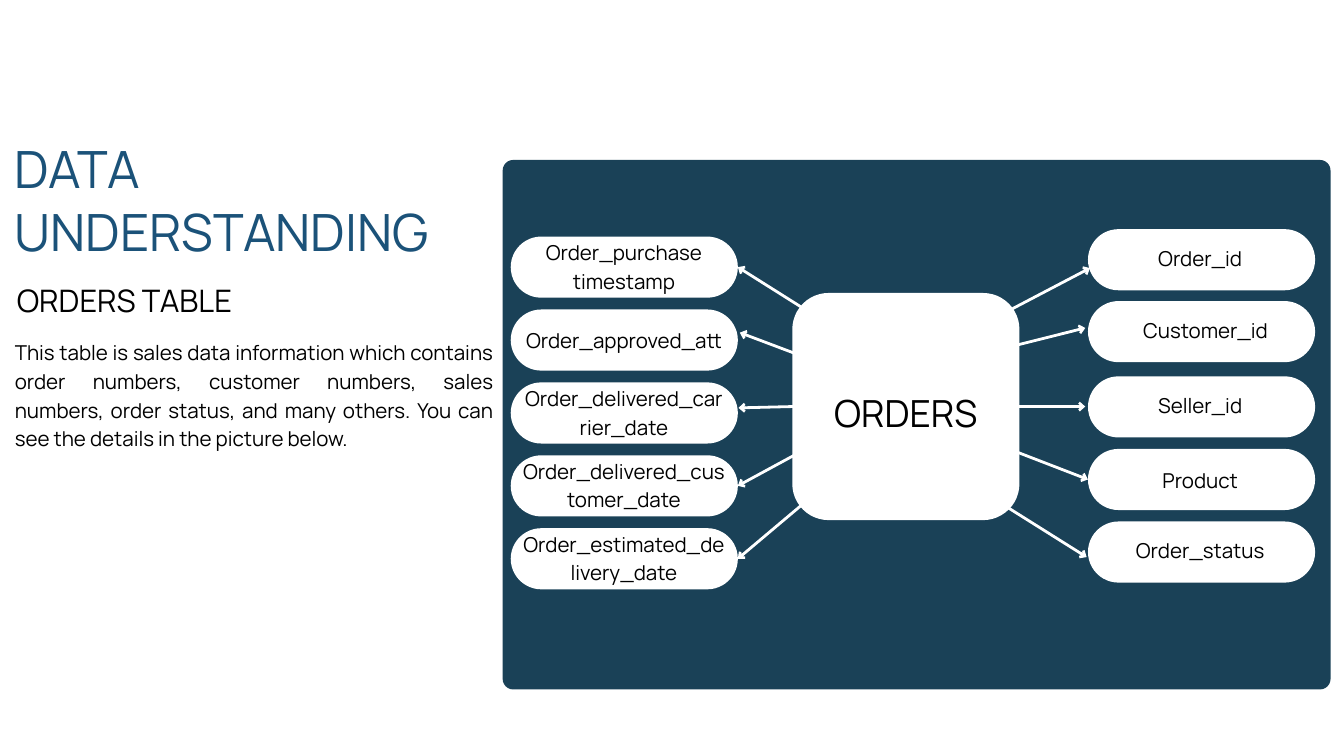
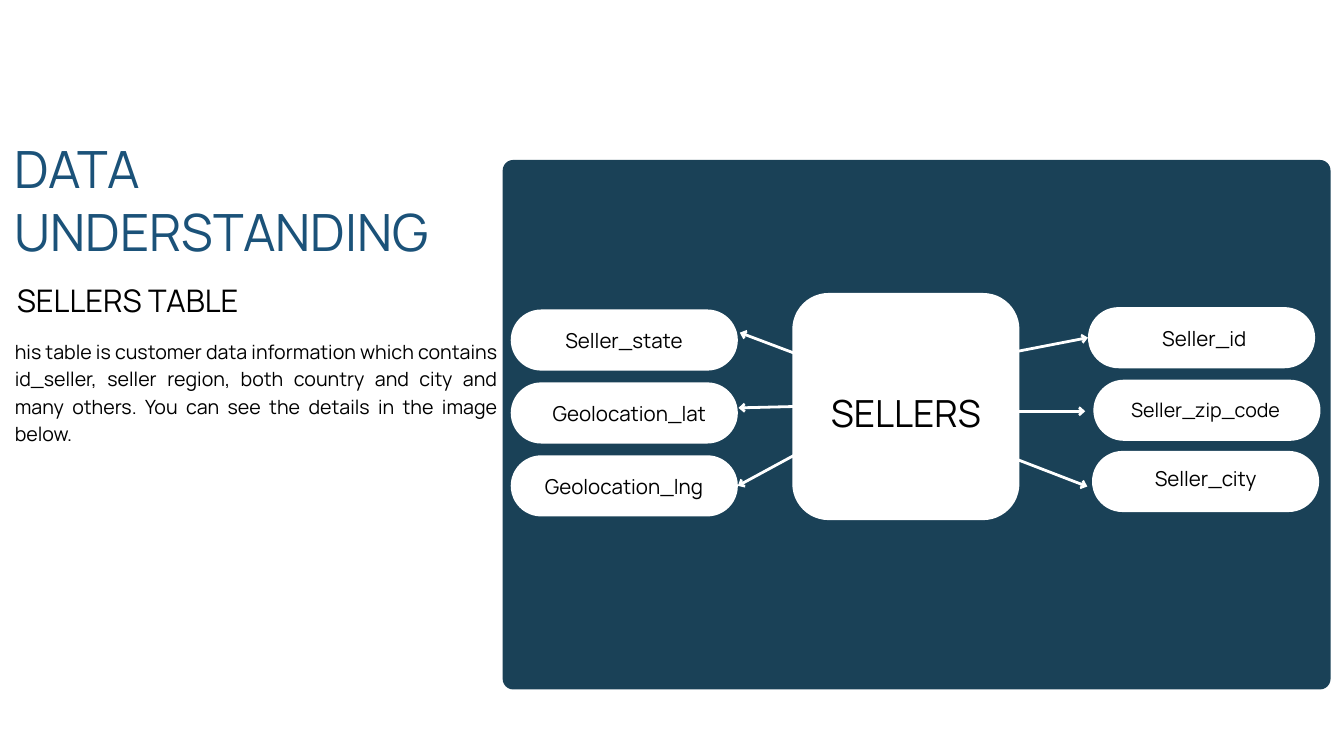
from dataclasses import dataclass

from lxml.etree import SubElement
from pptx import Presentation
from pptx.dml.color import RGBColor
from pptx.enum.shapes import MSO_CONNECTOR as Line, MSO_SHAPE as Shape
from pptx.enum.text import MSO_ANCHOR as Anchor, MSO_AUTO_SIZE as AutoSize, PP_ALIGN as Align
from pptx.oxml.ns import qn
from pptx.util import Inches, Pt

# Content: left fields are (row, text, label shift);
# right fields are (text, pill corner, label corner, label size, arrow start, arrow end)
TITLE = "DATA UNDERSTANDING"
PAGES = [
    {
        "heading": "ORDERS TABLE",
        "heading_width": 3.59,
        "heading_size": 33.2,
        "body": "This table is sales data information which contains order numbers, "
                "customer numbers, sales numbers, order status, and many others. "
                "You can see the details in the picture below.",
        "body_width": 7.12,
        "body_size": 22,
        "hub": "ORDERS",
        "left": [
            (0, "Order_purchase\ntimestamp", 0),
            (1, "Order_approved_att", 0),
            (2, "Order_delivered_carrier_date", 0),
            (3, "Order_delivered_customer_date", 0),
            (4, "Order_estimated_delivery_date", 0),
        ],
        "right": [
            ("Order_id", (16.19, 3.41), (16.15, 3.6), 22, (12.86, 5.75), (16.22, 3.99)),
            ("Customer_id", (16.19, 4.48), (16.23, 4.67), 22, (13.48, 5.55), (16.15, 4.88)),
            ("Seller_id", (16.19, 5.6), (16.15, 5.78), 22, (12.86, 6.05), (16.15, 6.05)),
            ("Product", (16.19, 6.68), (16.15, 6.9), 22, (12.86, 5.85), (16.18, 7.13)),
            ("Order_status", (16.19, 7.76), (16.15, 7.94), 22, (12.86, 6.21), (16.17, 8.29)),
        ],
    },
    {
        "heading": "SELLERS TABLE",
        "heading_width": 6.17,
        "heading_size": 33.3,
        "body": "his table is customer data information which contains id_seller, "
                "seller region, both country and city and many others. "
                "You can see the details in the image below.",
        "body_width": 7.18,
        "body_size": 21,
        "hub": "SELLERS",
        "left": [
            (1, "Seller_state", 0),
            (2, "Geolocation_lat", 0.08),
            (3, "Geolocation_lng", 0),
        ],
        "right": [
            ("Seller_id", (16.19, 4.57), (16.21, 4.79), 22, (13.48, 5.55), (16.19, 5.02)),
            ("Seller_zip_code", (16.27, 5.65), (16.23, 5.87), 21, (12.86, 6.12), (16.15, 6.12)),
            ("Seller_city", (16.25, 6.71), (16.23, 6.88), 22, (12.86, 5.96), (16.18, 7.24)),
        ],
    },
]


@dataclass(frozen=True)
class Theme:
    font: str = "Manrope"
    navy: RGBColor = RGBColor(0x1A, 0x41, 0x57)
    blue: RGBColor = RGBColor(0x1B, 0x52, 0x79)
    white: RGBColor = RGBColor(0xFF, 0xFF, 0xFF)
    black: RGBColor = RGBColor(0, 0, 0)
    title_size: float = 55
    hub_size: float = 40
    label_size: float = 22
    title_spacing: float = 1.22
    text_spacing: float = 1.4
    arrow_width: float = 3


THEME = Theme()

# Layout, in inches
PANEL = (7.48, 2.38, 12.32, 7.88)
HUB = (11.79, 4.36, 3.38, 3.38)
PILL_SIZE = (3.38, 0.91)
LEFT_PILL_X, LEFT_PILL_Y, LEFT_STEP = 7.6, 3.52, 1.085
LEFT_LABEL_X, LEFT_LABEL_WIDTH = 7.77, 3.03
RIGHT_LABEL_WIDTH = 3.42
LINE_HEIGHT = 0.43
LEFT_ARROWS = [
    ((13.48, 5.55), (11.01, 3.99)),
    ((12.6, 5.55), (11.01, 4.95)),
    ((12.6, 6.03), (10.99, 6.07)),
    ((12.86, 6.21), (10.98, 7.22)),
    ((13.48, 6.21), (10.99, 8.33)),
]
LEFT_SIDE, RIGHT_SIDE = 1, 3
JOIN_DISTANCE = 0.03


def add_round_box(page, area, color, corner):
    box = page.shapes.add_shape(Shape.ROUNDED_RECTANGLE, *map(Inches, area))
    box.adjustments[0] = corner
    box.shadow.inherit = False
    box.fill.solid()
    box.fill.fore_color.rgb = color
    box.line.fill.background()
    return box


def add_text(page, area, text, size, align=Align.CENTER, color=THEME.black,
             spacing=THEME.text_spacing):
    box = page.shapes.add_textbox(*map(Inches, area))
    frame = box.text_frame
    frame.word_wrap = True
    frame.auto_size = AutoSize.SHAPE_TO_FIT_TEXT
    frame.vertical_anchor = Anchor.TOP
    frame.margin_left = frame.margin_right = frame.margin_top = frame.margin_bottom = 0
    frame.text = text
    for para in frame.paragraphs:
        para.alignment = align
        para.line_spacing = Pt(round(size * spacing, 1))
        for span in para.runs:
            span.font.name = THEME.font
            span.font.size = Pt(size)
            span.font.color.rgb = color


def add_arrow(page, start, end, pill, side):
    arrow = page.shapes.add_connector(Line.STRAIGHT, *map(Inches, start + end))
    arrow.line.color.rgb = THEME.white
    arrow.line.width = Pt(THEME.arrow_width)
    SubElement(arrow.line._get_or_add_ln(), qn("a:tailEnd"), type="arrow", w="med", len="sm")
    SubElement(arrow._element.spPr, qn("a:effectLst"))
    # Join arrows that reach the middle of the pill's side
    side_x = pill.left + (pill.width if side == RIGHT_SIDE else 0)
    side_y = pill.top + pill.height // 2
    gap = max(abs(Inches(end[0]) - side_x), abs(Inches(end[1]) - side_y))
    if gap <= Inches(JOIN_DISTANCE):
        arrow.end_connect(pill, side)


def add_diagram(page, content):
    add_round_box(page, PANEL, THEME.navy, 0.02)
    labels, arrows = [], []

    # Pills on the left, in evenly spaced rows
    for row, text, shift in content["left"]:
        top = LEFT_PILL_Y + row * LEFT_STEP
        pill = add_round_box(page, (LEFT_PILL_X, top, *PILL_SIZE), THEME.white, 0.5)
        lines = 2 if len(text) > 20 else 1
        label_top = top + (0.21 if lines == 1 else -0.01)
        area = (LEFT_LABEL_X + shift, label_top, LEFT_LABEL_WIDTH, lines * LINE_HEIGHT)
        labels.append((area, text, THEME.label_size))
        arrows.append((*LEFT_ARROWS[row], pill, RIGHT_SIDE))

    # Pills on the right
    for text, corner, label_corner, size, start, end in content["right"]:
        pill = add_round_box(page, (*corner, *PILL_SIZE), THEME.white, 0.5)
        labels.append(((*label_corner, RIGHT_LABEL_WIDTH, LINE_HEIGHT), text, size))
        arrows.append((start, end, pill, LEFT_SIDE))

    # The hub covers the arrow starts
    for arrow in arrows:
        add_arrow(page, *arrow)
    add_round_box(page, HUB, THEME.white, 0.16)
    for label in labels:
        add_text(page, *label)
    add_text(page, (11.79, 5.69, 3.38, 0.78), content["hub"], THEME.hub_size)


def add_intro(page, content):
    add_text(page, (0.22, 2.03, 6.66, 1.91), TITLE, THEME.title_size,
             Align.LEFT, THEME.blue, THEME.title_spacing)
    add_text(page, (0.25, 4.1, content["heading_width"], 0.66), content["heading"],
             content["heading_size"], Align.JUSTIFY)
    add_text(page, (0.22, 5, content["body_width"], 2.1), content["body"],
             content["body_size"], Align.JUSTIFY)


def main():
    deck = Presentation()
    deck.slide_width, deck.slide_height = Inches(20), Inches(11.25)
    for content in PAGES:
        page = deck.slides.add_slide(deck.slide_layouts[6])
        add_diagram(page, content)
        add_intro(page, content)
    deck.save("out.pptx")


if __name__ == "__main__":
    main()
